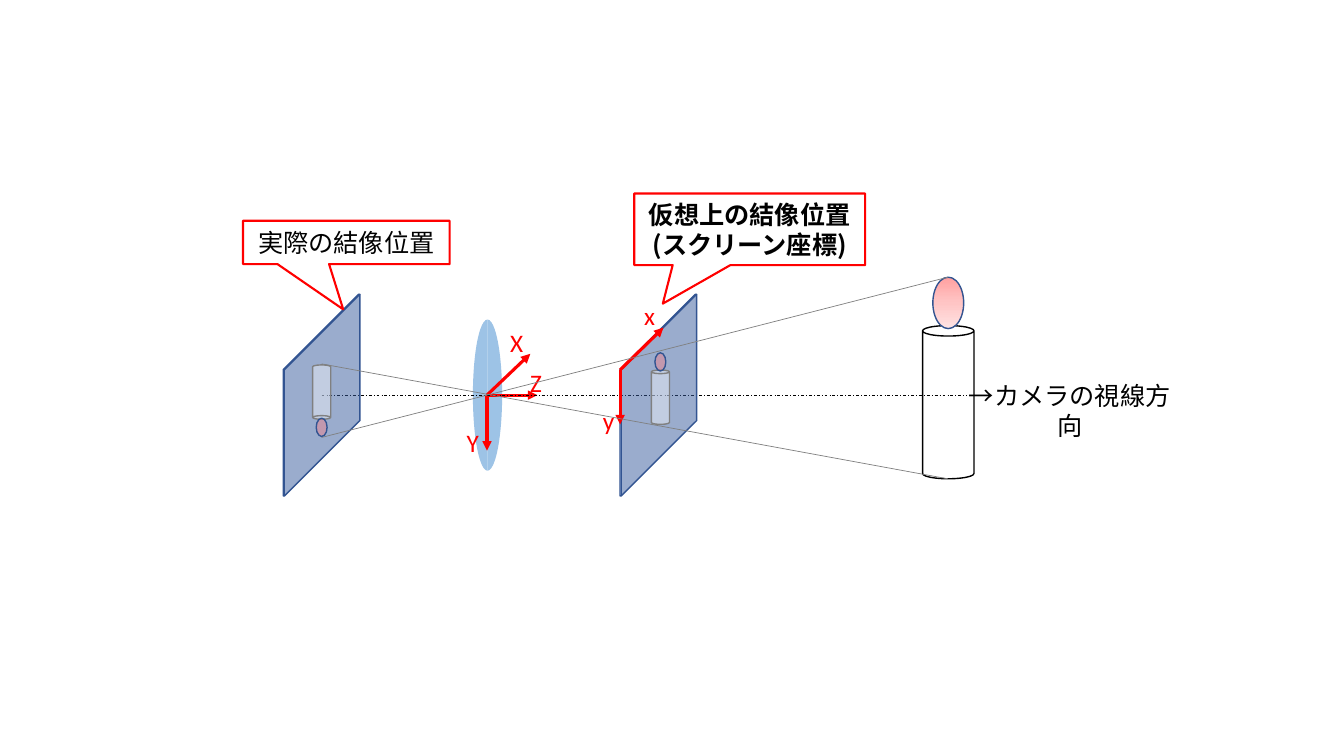
from copy import deepcopy
from dataclasses import dataclass

from lxml.etree import SubElement
from pptx import Presentation
from pptx.dml.color import RGBColor
from pptx.enum.dml import MSO_LINE_DASH_STYLE as Dash
from pptx.enum.shapes import MSO_CONNECTOR as Link, MSO_SHAPE as Shape
from pptx.enum.text import MSO_ANCHOR as Anchor, MSO_AUTO_SIZE as AutoSize, PP_ALIGN as Align
from pptx.oxml.ns import qn
from pptx.util import Emu, Pt


@dataclass(frozen=True)
class Theme:
    black: str = "000000"
    white: str = "FFFFFF"
    red: str = "FF0000"
    gray: str = "808080"
    outline: str = "325491"
    lens: str = "9DC3E6"
    screen: str = "4472C4"
    flame: str = "FF7C80"
    glow: tuple = ("FFA0A0", "FFC5C5", "FFE3E3")
    latin: str = "Calibri"
    japanese: str = "Noto Sans CJK JP"
    size: int = 18
    hairline: float = 0.5
    thin: float = 1
    frame: float = 1.5
    axis: float = 2.25


THEME = Theme()
PX = 9144


def px(*lengths):
    return [Emu(round(length * PX)) for length in lengths]


def rgb(color):
    return RGBColor.from_string(color)


def add_shape(shapes, kind, box, fill, line=None, opacity=100, width=THEME.thin):
    shape = shapes.add_shape(kind, *px(*box))
    shape.shadow.inherit = False
    shape.fill.solid()
    shape.fill.fore_color.rgb = rgb(fill)
    if opacity < 100:
        color = shape.fill._xPr.find(qn("a:solidFill"))[0]
        SubElement(color, qn("a:alpha"), val=str(opacity * 1000))
    if line:
        shape.line.color.rgb = rgb(line)
        shape.line.width = Pt(width)
    else:
        shape.line.fill.background()
    return shape


def add_line(shapes, start, end, color, width, dash=None, arrow=False):
    line = shapes.add_connector(Link.STRAIGHT, *px(*start, *end))
    line.line.color.rgb = rgb(color)
    line.line.width = Pt(width)
    if dash:
        line.line.dash_style = dash
    if arrow:
        SubElement(line.line._get_or_add_ln(), qn("a:tailEnd"), type="triangle")
    SubElement(line._element.spPr, qn("a:effectLst"))


def set_text(frame, text, color, font, align=Align.LEFT, bold=False):
    frame.word_wrap = True
    frame.text = text
    for para in frame.paragraphs:
        para.alignment = align
        for span in para.runs:
            span.font.size = Pt(THEME.size)
            span.font.bold = bold
            span.font.name = font
            span.font.color.rgb = rgb(color)
            SubElement(span.font._element, qn("a:ea"), typeface=font)


def add_label(shapes, box, text, color, font, align=Align.LEFT):
    label = shapes.add_textbox(*px(*box))
    set_text(label.text_frame, text, color, font, align)
    label.text_frame.auto_size = AutoSize.SHAPE_TO_FIT_TEXT


def add_candle(shapes, box, line, opacity=100, glowing=False, inverted=False):
    left, top, width, height = box
    group = shapes.add_group_shape()
    body_box = (left, top + height * 0.24, width, height * 0.76)
    body = add_shape(group.shapes, Shape.CAN, body_box, THEME.white, line, opacity)
    body.adjustments[0] = 0.204
    flame_box = (left + width * 0.2, top, width * 0.6, height * 0.255)
    flame = add_shape(group.shapes, Shape.OVAL, flame_box, THEME.flame, THEME.outline, opacity)
    if glowing:
        flame.fill.gradient()
        flame.fill.gradient_angle = 270
        stop_list = flame.fill._xPr.find(qn("a:gradFill")).find(qn("a:gsLst"))
        stop_list.insert(1, deepcopy(stop_list[0]))
        for index, (stop, color) in enumerate(zip(flame.fill.gradient_stops, THEME.glow)):
            stop.position = index / 2
            stop.color.rgb = rgb(color)
    if inverted:
        group.rotation = 180


def add_lens(shapes, box):
    group = shapes.add_group_shape()
    for angles in ((54, 162), (162, 54)):
        half = add_shape(group.shapes, Shape.CHORD, box, THEME.lens)
        half.adjustments[0], half.adjustments[1] = angles


def add_screen(shapes, box):
    screen = add_shape(shapes, Shape.CUBE, box, THEME.screen, THEME.outline, opacity=50)
    screen.adjustments[0] = 0.983


def add_axes(shapes, origin, axes):
    left, top = origin
    for (across, down), _, _ in axes:
        add_line(shapes, origin, (left + across, top + down), THEME.red, THEME.axis, arrow=True)
    for _, name, (across, down) in axes:
        add_label(shapes, (left + across, top + down, 39, 40), name, THEME.red, THEME.latin)


def add_callout(shapes, box, pointer, text, bold=False):
    callout = add_shape(shapes, Shape.RECTANGULAR_CALLOUT, box, THEME.white, THEME.red, width=THEME.frame)
    callout.adjustments[0], callout.adjustments[1] = pointer
    callout.text_frame.vertical_anchor = Anchor.MIDDLE
    set_text(callout.text_frame, text, THEME.black, THEME.japanese, Align.CENTER, bold)


def add_camera_model(shapes, box):
    left, top, width, height = box
    middle = top + 117
    add_candle(shapes, (left + 674, top, 51, 200), THEME.black, glowing=True)
    add_lens(shapes, (left + 228, top + 42, 29, 150))
    add_axes(shapes, (left + 242, middle), [
        ((0, 55), "Y", (-30, 27)),
        ((43, -41), "X", (13, -72)),
        ((50, 0), "Z", (33, -33)),
    ])
    add_line(shapes, (left + 78, middle), (left + 718, middle), THEME.black, THEME.hairline, Dash.DASH_DOT)
    add_label(shapes, (left + 700, middle - 20, 240, 40), "→カメラの視線方向",
              THEME.black, THEME.japanese, Align.CENTER)
    for offset in (40, 374):
        add_screen(shapes, (left + offset, top + 17, 76, 200))
    add_axes(shapes, (left + 374, top + 92), [
        ((0, 54), "y", (-27, 30)),
        ((43, -42), "x", (14, -74)),
    ])
    add_callout(shapes, (left + 388, top - 83, 229, 71), (-0.376, 1.039),
                "仮想上の結像位置\n(スクリーン座標)", bold=True)
    add_callout(shapes, (left, top - 56, 205, 43), (-0.015, 1.545), "実際の結像位置")
    for start, end in ((86, 200), (159, 0)):
        add_line(shapes, (left + 78, top + start), (left + 699, top + end), THEME.gray, THEME.hairline)
    add_candle(shapes, (left + 405, top + 75, 18, 71), THEME.gray, opacity=40)
    add_candle(shapes, (left + 69, top + 87, 18, 71), THEME.gray, opacity=40, inverted=True)


def main():
    deck = Presentation()
    deck.slide_width, deck.slide_height = px(1333, 750)
    page = deck.slides.add_slide(deck.slide_layouts[6])
    add_camera_model(page.shapes, (241, 275, 940, 217))
    deck.save("out.pptx")


if __name__ == "__main__":
    main()
